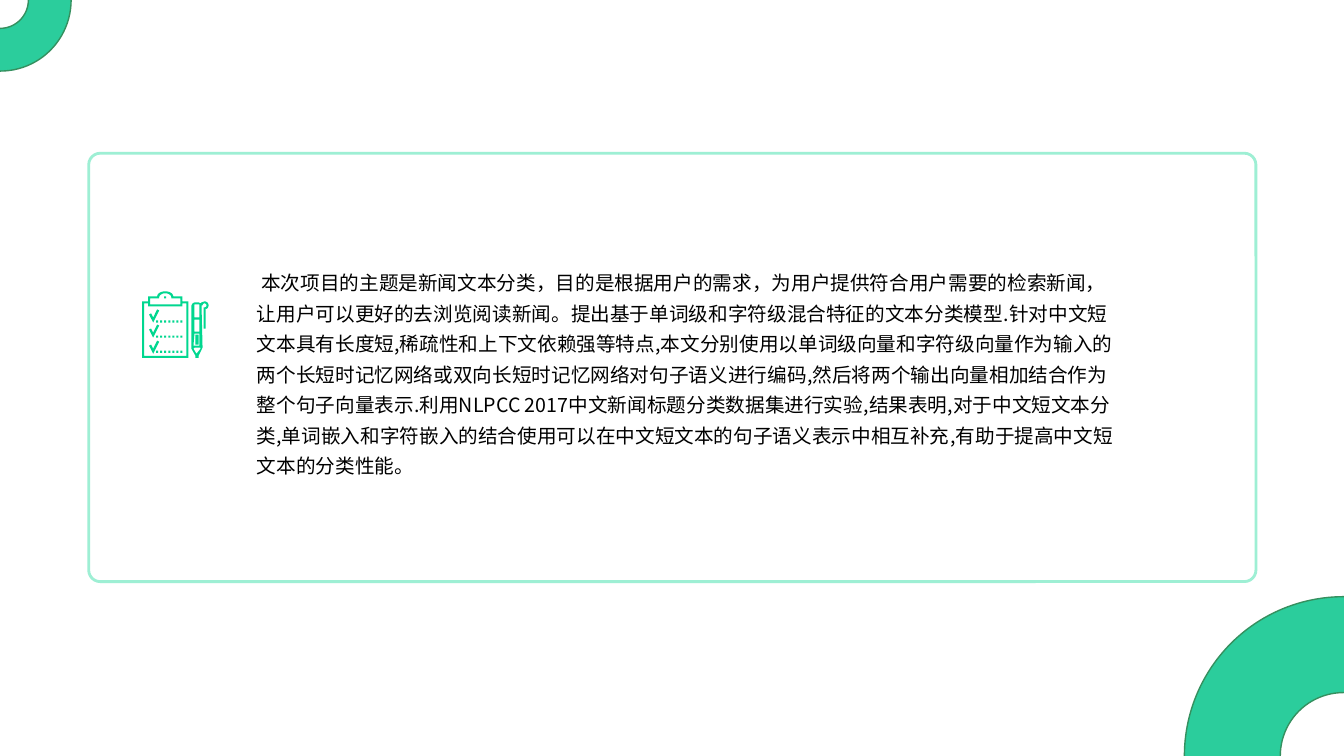
import dataclasses
import math

import pptx
import pptx.dml.color
import pptx.enum.shapes
import pptx.enum.text
import pptx.oxml.ns
import pptx.util
from lxml import etree

Pt = pptx.util.Pt
Kind = pptx.enum.shapes.MSO_SHAPE


@dataclasses.dataclass(frozen=True)
class Theme:
    mint: str = "00D78F"
    ring: str = "00C389"
    rim: str = "35905F"
    white: str = "FFFFFF"
    ink: str = "000000"
    font: str = "Noto Sans CJK SC"
    size: float = 14


THEME = Theme()
FINE = 10
BODY = (
    " 本次项目的主题是新闻文本分类，目的是根据用户的需求，为用户提供符合用户需要的检索新闻，"
    "让用户可以更好的去浏览阅读新闻。提出基于单词级和字符级混合特征的文本分类模型."
    "针对中文短文本具有长度短,稀疏性和上下文依赖强等特点,"
    "本文分别使用以单词级向量和字符级向量作为输入的两个长短时记忆网络或双向长短时记忆网络对句子语义进行编码,"
    "然后将两个输出向量相加结合作为整个句子向量表示."
    "利用NLPCC 2017中文新闻标题分类数据集进行实验,结果表明,对于中文短文本分类,"
    "单词嵌入和字符嵌入的结合使用可以在中文短文本的句子语义表示中相互补充,有助于提高中文短文本的分类性能。"
)


def color(code):
    return pptx.dml.color.RGBColor.from_string(code)


def paint(shape, fill, alpha=100, line=None, width=0):
    shape.shadow.inherit = False
    shape.fill.solid()
    shape.fill.fore_color.rgb = color(fill)
    if alpha < 100:
        tone = shape.fill._xPr.find(".//" + pptx.oxml.ns.qn("a:srgbClr"))
        etree.SubElement(tone, pptx.oxml.ns.qn("a:alpha"), val=str(alpha * 1000))
    if line:
        shape.line.color.rgb = color(line)
        shape.line.width = Pt(width)
    else:
        shape.line.fill.background()


def add_shape(slide, kind, box, adjust=None, **style):
    shape = slide.shapes.add_shape(kind, *map(Pt, box))
    if adjust is not None:
        shape.adjustments[0] = adjust
    paint(shape, **style)


def add_ring(slide, left, top, size):
    add_shape(slide, Kind.DONUT, (left, top, size, size), 0.301,
              fill=THEME.ring, alpha=83, line=THEME.rim, width=1)


def add_text(slide, box, runs):
    frame = slide.shapes.add_textbox(*map(Pt, box)).text_frame
    frame.word_wrap = True
    frame.auto_size = pptx.enum.text.MSO_AUTO_SIZE.SHAPE_TO_FIT_TEXT
    para = frame.paragraphs[0]
    para.line_spacing = 1.3
    for words in runs:
        run = para.add_run()
        run.text = words
        run.font.size = Pt(THEME.size)
        run.font.name = THEME.font
        run.font.color.rgb = color(THEME.ink)
        east = etree.SubElement(run.font._element, pptx.oxml.ns.qn("a:ea"))
        east.set("typeface", THEME.font)


def rect(left, top, right, foot):
    return [(left, top), (right, top), (right, foot), (left, foot)]


def arc(x, y, wide, high, start, end, steps=12):
    turns = [math.radians(start + (end - start) * i / steps) for i in range(steps + 1)]
    return [(x + wide * math.cos(t), y + high * math.sin(t)) for t in turns]


def list_marks():
    tick = [(15, 0), (17, 1), (11, 13), (7, 5), (9, 4), (11, 8)]
    for top, base in ((18, 29), (33, 44), (49, 59)):
        yield [(x, top + y) for x, y in tick]
        for left in range(14, 39, 4):
            yield rect(left, base, left + 2, base + 2)


def board():
    return [
        arc(23, 5, 8, 5, 180, 360)
        + [(40, 5), (40, 10), (46, 10), (46, 66), (0, 66), (0, 10), (6, 10), (6, 5)],
        arc(23, 6, 6, 4, 180, 360)
        + [(29, 7), (38, 7), (38, 13), (8, 13), (8, 7), (17, 7)],
        rect(22, 5, 24, 7),
        [(2, 12), (2, 64), (44, 64), (44, 12), (40, 12), (40, 15), (6, 15), (6, 12)],
    ]


def pen():
    return [
        arc(62, 14, 4, 4, -90, 60)
        + [(63, 17), (63, 37), (61, 37), (61, 16), (62, 16)]
        + arc(62, 14, 2, 2, 90, -180)
        + [(59, 14), (60, 54), (60, 56), (56, 64), (56, 66), (53, 66), (53, 64),
           (49, 57)]
        + arc(53, 15, 4, 4, 180, 270)
        + [(56, 11), (58, 12), (59, 11)],
        rect(52, 13, 57, 26),
        rect(52, 28, 57, 40),
        [(52, 42), (51, 54), (57, 54), (57, 42)],
        rect(53, 43, 56, 53),
        [(52, 56), (51, 57), (54, 62), (58, 57), (58, 56)],
    ]


def add_icon(slide, left, top, loops):
    fine = [[(x * FINE, y * FINE) for x, y in loop] for loop in loops]
    pencil = slide.shapes.build_freeform(*fine[0][0], scale=Pt(0.72) / FINE)
    for index, loop in enumerate(fine):
        if index:
            pencil.move_to(*loop[0])
        pencil.add_line_segments(loop[1:], close=True)
    paint(pencil.convert_to_shape(Pt(left), Pt(top)), THEME.mint)


def main():
    deck = pptx.Presentation()
    deck.slide_width, deck.slide_height = Pt(960), Pt(540)
    slide = deck.slides.add_slide(deck.slide_layouts[6])
    add_shape(slide, Kind.ROUNDED_RECTANGLE, (63.36, 109.44, 833.76, 306), 0.027,
              fill=THEME.white, line=THEME.mint, width=2)
    add_shape(slide, Kind.RECTANGLE, (0, 0, 960, 540), fill=THEME.white, alpha=62)
    add_ring(slide, -50.6, -50.6, 101.4)
    add_ring(slide, 846, 426.2, 227.6)
    add_text(slide, (176.4, 185.04, 632.88, 161.28), [BODY])
    add_icon(slide, 101.52, 208.08, [*board(), *list_marks(), *pen()])
    deck.save("out.pptx")


if __name__ == "__main__":
    main()
